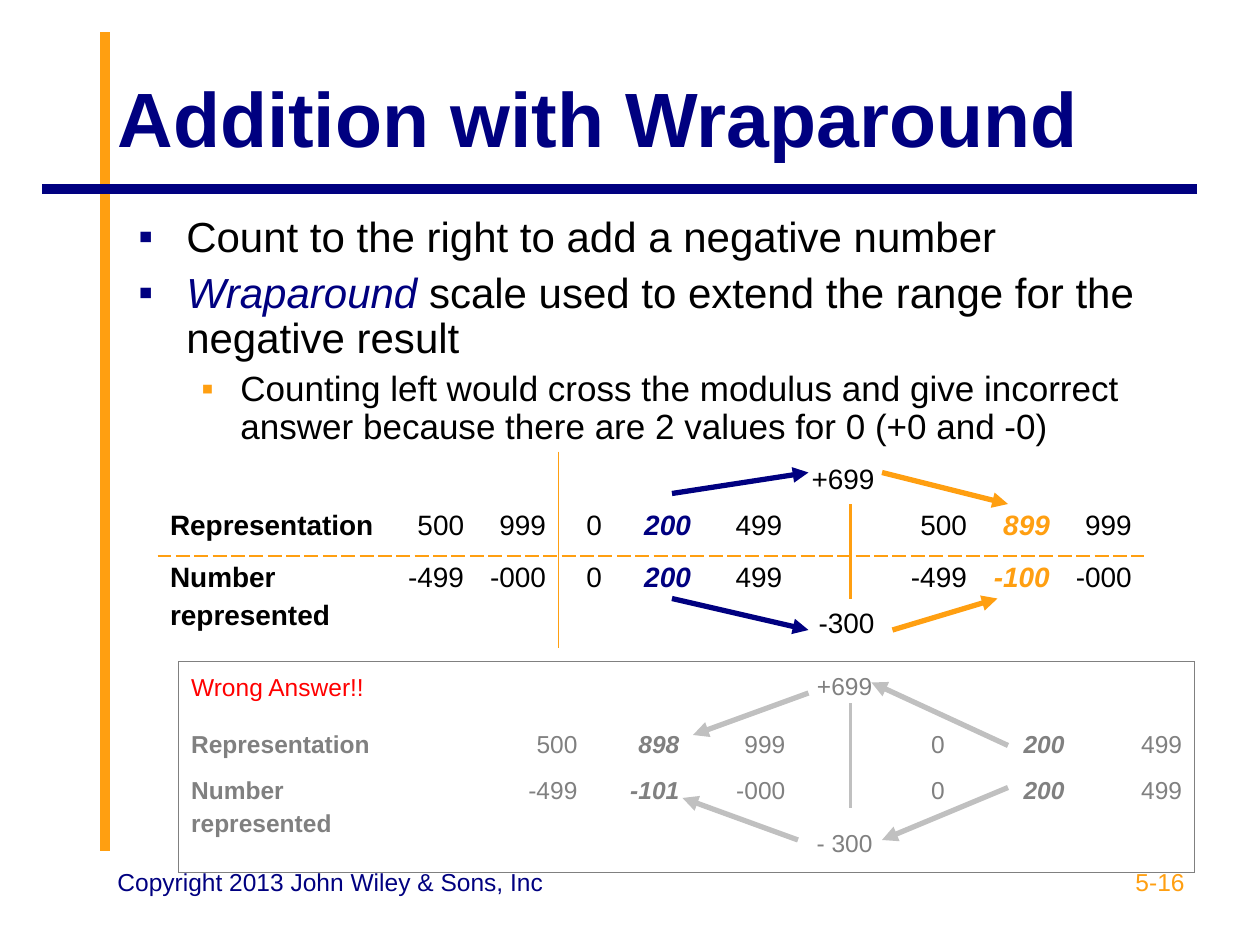
from lxml import etree
from pptx import Presentation
from pptx.dml.color import RGBColor
from pptx.enum.shapes import MSO_CONNECTOR
from pptx.enum.text import MSO_ANCHOR, PP_ALIGN
from pptx.oxml.ns import qn
from pptx.util import Inches, Pt

STRAIGHT = MSO_CONNECTOR.STRAIGHT
MIDDLE, TOP = MSO_ANCHOR.MIDDLE, MSO_ANCHOR.TOP
LEFT, CENTER, RIGHT = PP_ALIGN.LEFT, PP_ALIGN.CENTER, PP_ALIGN.RIGHT

NAVY, ORANGE, BLACK, RED = "000080", "FF9F11", "000000", "FF0000"
GRAY, SILVER = "808080", "C0C0C0"
FONT = "Arial"
NO_STYLE = "{2D5ABB26-0587-4C30-8999-92F81FD0307C}"
UNITS_PER_INCH = 12  # the slide is a grid of 120 columns and 90 rows


def rgb(value):
    return RGBColor.from_string(value)


def units(count):
    return Inches(count / UNITS_PER_INCH)


def sub(parent, tag, **attributes):
    return etree.SubElement(parent, qn(tag), attributes)


def write(paragraph, text, size=16, color=BLACK, bold=False, italic=False,
          align=LEFT, line_spacing=None, space_before=0):
    """Append one run; an empty text only sets the height of the line."""
    paragraph.alignment = align
    paragraph.space_before = Pt(space_before)
    if line_spacing:
        paragraph.line_spacing = line_spacing
    if not text:
        sub(paragraph._p, "a:endParaRPr", sz=str(size * 100))
        return
    run = paragraph.add_run()
    run.text = text
    font = run.font
    font.name, font.size, font.bold, font.italic = FONT, Pt(size), bold, italic
    font.color.rgb = rgb(color)


def add_bullet(paragraph, color, margin, hanging):
    properties = paragraph._p.get_or_add_pPr()
    properties.set("marL", str(Inches(margin)))
    properties.set("indent", str(-Inches(hanging)))
    sub(sub(properties, "a:buClr"), "a:srgbClr", val=color)
    sub(properties, "a:buFont", typeface=FONT)
    sub(properties, "a:buChar", char="▪")


def set_borders(cell, borders):
    """Take a dict of side (L, R, T, B) to (colour, points, dash); other sides are bare."""
    properties = cell._tc.get_or_add_tcPr()
    for side in "LRTB":
        if side not in borders:
            sub(sub(properties, "a:ln" + side), "a:noFill")
            continue
        color, width, dash = borders[side]
        line = sub(properties, "a:ln" + side, w=str(Pt(width)))
        sub(sub(line, "a:solidFill"), "a:srgbClr", val=color)
        sub(line, "a:prstDash", val=dash)


class GridSlide:
    def __init__(self, presentation):
        self.slide = presentation.slides.add_slide(presentation.slide_layouts[6])
        self.shapes = self.slide.shapes

    def line(self, start, end, color, width=3, arrow=False):
        connector = self.shapes.add_connector(
            STRAIGHT, *(units(v) for v in (*start, *end)))
        connector.line.color.rgb = rgb(color)
        connector.line.width = Pt(width)
        if arrow:
            sub(connector.line._get_or_add_ln(), "a:tailEnd", type="triangle")
        sub(connector._element.spPr, "a:effectLst")
        return connector

    def frame(self, box, anchor=TOP):
        frame = self.shapes.add_textbox(*(units(v) for v in box)).text_frame
        frame.word_wrap = True
        frame.vertical_anchor = anchor
        return frame

    def label(self, box, text, anchor=TOP, **style):
        write(self.frame(box, anchor).paragraphs[0], text, **style)

    def bullets(self, box, items):
        """Each item is (runs, size, bullet colour, margin, hanging, space before)."""
        frame = self.frame(box)
        for index, (runs, size, color, margin, hanging, before) in enumerate(items):
            paragraph = frame.add_paragraph() if index else frame.paragraphs[0]
            add_bullet(paragraph, color, margin, hanging)
            for text, style in runs:
                write(paragraph, text, size=size, line_spacing=0.9,
                      space_before=before, **style)

    def table(self, corner, widths, heights, content, base, columns, special,
              borders, label_gap):
        """Draw a scale: styles come from base, then column, then single cell."""
        table = self.shapes.add_table(
            len(heights), len(widths), units(corner[0]), units(corner[1]),
            units(sum(widths)), units(sum(heights))).table
        table._tbl.tblPr.find(qn("a:tableStyleId")).text = NO_STYLE
        table.first_row = table.horz_banding = False
        for column, width in zip(table.columns, widths):
            column.width = units(width)
        for row, height in zip(table.rows, heights):
            row.height = units(height)
        for r, texts in enumerate(content):
            for c, text in enumerate(texts):
                cell = table.cell(r, c)
                style = {**base, **columns.get(c, {}), **special.get((r, c), {})}
                for index, part in enumerate(text.split("\n")):
                    paragraph = (cell.text_frame.add_paragraph() if index
                                 else cell.text_frame.paragraphs[0])
                    write(paragraph, part, space_before=label_gap * index, **style)
                set_borders(cell, borders(r, c))
                cell.fill.background()
        table.cell(2, 0).merge(table.cell(3, 0))


def scale_borders(row, column):
    divider, dashes = (ORANGE, 0.75, "solid"), (ORANGE, 1.47, "dash")
    sides = {2: {"R": divider}, 3: {"L": divider}}.get(column, {})
    return {**sides, **{1: {"B": dashes}, 2: {"T": dashes}}.get(row, {})}


def frame_borders(row, column):
    edges = {"L": column == 0, "R": column == 7, "T": row == 0,
             "B": row == 3 or (row, column) == (2, 0)}
    return {side: (GRAY, 0.45, "solid") for side, shown in edges.items() if shown}


def main():
    presentation = Presentation()
    presentation.slide_width, presentation.slide_height = Inches(10), Inches(7.5)
    page = GridSlide(presentation)

    page.line((10, 81), (10, 3), ORANGE, 5.5)
    page.line((114, 18), (4, 18), NAVY, 5.5)
    page.label((10, 3.6, 104, 15), "Addition with Wraparound", MIDDLE,
               size=44, color=NAVY, bold=True)
    page.bullets((12, 20, 105, 24), [
        ([("Count to the right to add a negative number", {})],
         24, NAVY, 0.38, 0.38, 0),
        ([("Wraparound", {"color": NAVY, "italic": True}),
          (" scale used to extend the range for the negative result", {})],
         24, NAVY, 0.38, 0.38, 6),
        ([("Counting left would cross the modulus and give incorrect answer "
           "because there are 2 values for 0 (+0 and -0)", {})],
         20, ORANGE, 0.81, 0.31, 5),
    ])

    row_label = {"align": LEFT, "bold": True}
    strong = {"bold": True, "italic": True}
    page.table(
        (15, 43), [22.1, 8.3, 7.8, 6.8, 7, 8.7, 8.8, 8.8, 7.9, 7.8],
        [5, 4.9, 4.4, 4.4],
        [["", "", "", "", "", "", "+699", "", "", ""],
         ["Representation", "500", "999", "0", "200", "499", "", "500", "899", "999"],
         ["Number\nrepresented", "-499", "-000", "0", "200", "499", "",
          "-499", "-100", "-000"],
         ["", "", "", "", "", "", "-300", "", "", ""]],
        base={"size": 16, "align": RIGHT},
        columns={0: row_label, 3: {"align": CENTER},
                 4: {**strong, "color": NAVY}, 8: {**strong, "color": ORANGE}},
        special={(0, 6): {"line_spacing": 1.2}},
        borders=scale_borders, label_gap=4)
    right_way = [
        page.line(start, end, color, arrow=True) for start, end, color in (
            ((64, 47), (77, 45), NAVY), ((84, 45), (96, 48), ORANGE),
            ((64, 57), (77, 60), NAVY), ((85, 60), (95, 57), ORANGE))]
    right_way.append(page.line((81, 48), (81, 57), ORANGE, 1.25))
    page.shapes.add_group_shape(right_way)

    page.table(
        (17, 63), [28.3, 10.9, 9.7, 10.1, 8.9, 8.9, 8.8, 11.2], [6, 4.4, 5.1, 4.6],
        [["Wrong Answer!!", "", "", "", "+699", "", "", ""],
         ["Representation", "500", "898", "999", "", "0", "200", "499"],
         ["Number\nrepresented", "-499", "-101", "-000", "", "0", "200", "499"],
         ["", "", "", "", "- 300", "", "", ""]],
        base={"size": 14, "align": RIGHT, "color": GRAY},
        columns={0: row_label, 2: strong, 4: {"align": CENTER},
                 5: {"align": CENTER}, 6: strong},
        special={(0, 0): {"color": RED, "bold": False, "line_spacing": 1.25},
                 (0, 4): {"line_spacing": 1.2}},
        borders=frame_borders, label_gap=3.5)
    for start, end in (((77, 66), (66, 70)), ((96, 71), (83, 65)),
                       ((96, 75), (84, 80)), ((76, 80), (65, 76))):
        page.line(start, end, SILVER, arrow=True)
    page.line((81, 67), (81, 77), SILVER, 1.25)

    page.label((86, 82, 28, 6.2), "5-16", size=14, color=ORANGE, align=RIGHT)
    page.label((10, 82, 44, 6.2), "Copyright 2013 John Wiley & Sons, Inc",
               size=14, color=NAVY)
    presentation.save("out.pptx")


if __name__ == "__main__":
    main()
